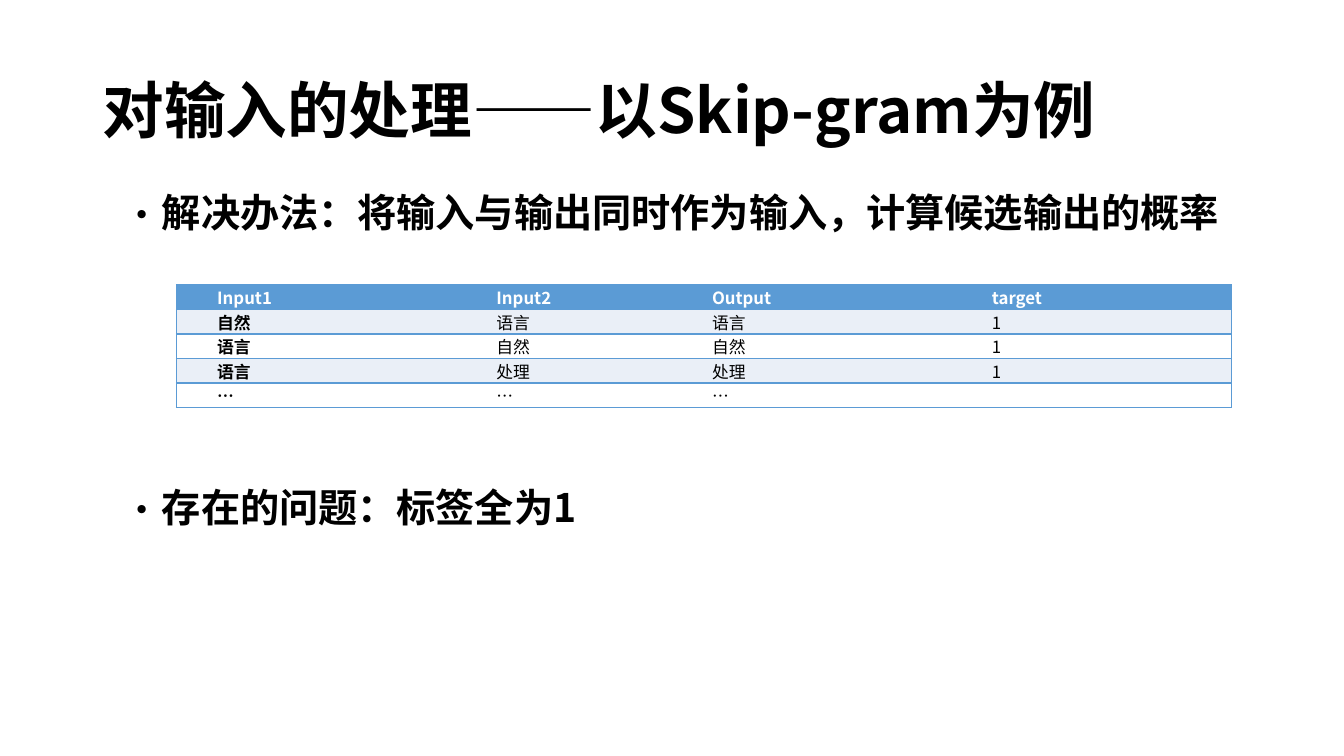
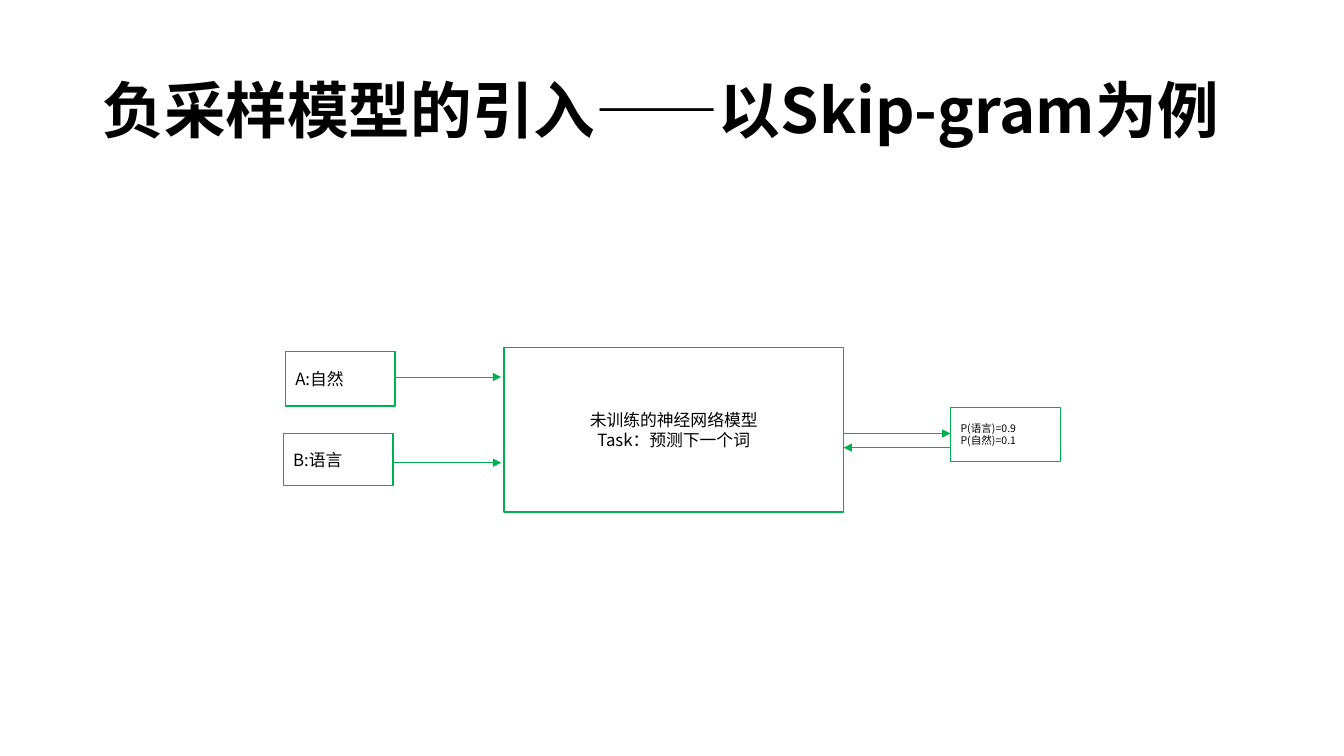
from lxml import etree
from pptx import Presentation
from pptx.dml.color import RGBColor
from pptx.enum import shapes, text
from pptx.oxml.ns import qn
from pptx.util import Pt

COLORS = {"ink": "000000", "white": "FFFFFF", "header": "5B9BD5", "band": "EAEFF7", "green": "00B050"}
FONT = "Noto Sans CJK SC"
TITLE_BOX = (66.24, 28.8, 828, 104.4)


def write(paragraph, words, size, bold=False, color="ink"):
    run = paragraph.add_run()
    run.text = words
    run.font.size = Pt(size)
    run.font.bold = bold
    run.font.color.rgb = RGBColor.from_string(COLORS[color])
    run.font.name = FONT
    etree.SubElement(run.font._element, qn("a:ea"), typeface=FONT)


def add_heading(slide, box, words, size, anchor=text.MSO_ANCHOR.TOP, bullet=False):
    """Add a bold line of text in a wrapping box, with a hanging bullet if asked."""
    frame = slide.shapes.add_textbox(*map(Pt, box)).text_frame
    frame.word_wrap = True
    frame.vertical_anchor = anchor
    paragraph = frame.paragraphs[0]
    if bullet:
        properties = paragraph._p.get_or_add_pPr()
        properties.set("marL", str(Pt(18)))
        properties.set("indent", str(-Pt(18)))
        etree.SubElement(properties, qn("a:buFont"), typeface=FONT)
        etree.SubElement(properties, qn("a:buChar"), char="•")
    paragraph.line_spacing = 0.9
    write(paragraph, words, size, bold=True)


deck = Presentation()
deck.slide_width, deck.slide_height = Pt(960), Pt(540)
titles = ["对输入的处理——以Skip-gram为例", "负采样模型的引入——以Skip-gram为例"]
slides = []
for title in titles:
    slide = deck.slides.add_slide(deck.slide_layouts[6])
    add_heading(slide, TITLE_BOX, title, 44, text.MSO_ANCHOR.MIDDLE)
    slides.append(slide)
input_slide, model_slide = slides

# Input handling: training samples between two points
samples = [
    ["Input1", "Input2", "Output", "target"],
    ["自然", "语言", "语言", "1"],
    ["语言", "自然", "自然", "1"],
    ["语言", "处理", "处理", "1"],
    ["…", "…", "…", ""],
]
column_widths = [199.5, 154, 200, 200]
row_height = 17.5
sample_table = input_slide.shapes.add_table(
    len(samples), len(column_widths), Pt(126), Pt(203.6),
    Pt(sum(column_widths)), Pt(row_height * len(samples))).table
for column, width in zip(sample_table.columns, column_widths):
    column.width = Pt(width)
for r, sample in enumerate(samples):
    sample_table.rows[r].height = Pt(row_height)
    fill = "header" if r == 0 else "band" if r % 2 else "white"
    for c, words in enumerate(sample):
        cell = sample_table.cell(r, c)
        cell.margin_left = cell.margin_right = Pt(5.4)
        cell.margin_top = cell.margin_bottom = 0
        outlined = {"lnL": c == 0, "lnR": c == len(sample) - 1, "lnT": True, "lnB": True}
        for side, shown in outlined.items():
            border = etree.SubElement(cell._tc.get_or_add_tcPr(), qn(f"a:{side}"), w=str(Pt(1)))
            paint = etree.SubElement(border, qn("a:solidFill" if shown else "a:noFill"))
            if shown:
                etree.SubElement(paint, qn("a:srgbClr"), val=COLORS["header"])
        cell.fill.solid()
        cell.fill.fore_color.rgb = RGBColor.from_string(COLORS[fill])
        paragraph = cell.text_frame.paragraphs[0]
        paragraph._p.get_or_add_pPr().set("indent", str(Pt(23.76)))
        if words:
            write(paragraph, words, 12, r == 0 or c == 0, "white" if r == 0 else "ink")
        else:
            etree.SubElement(paragraph._p, qn("a:endParaRPr"), sz="1200")

points = [(134.6, "解决办法：将输入与输出同时作为输入，计算候选输出的概率"), (345.6, "存在的问题：标签全为1")]
for top, words in points:
    add_heading(input_slide, (80.64, top, 828, 69.8), words, 28, bullet=True)

# Model diagram: two words in, probabilities out
left, center = text.PP_ALIGN.LEFT, text.PP_ALIGN.CENTER
nodes = [
    ((360, 248.4, 242.6, 117.4), ["未训练的神经网络模型", "Task：预测下一个词"], 12, center),
    ((679, 290.9, 78.5, 38.9), ["P(语言)=0.9", "P(自然)=0.1"], 7.5, left),
    ((203.8, 251.3, 78.5, 38.9), ["A:自然"], 12, left),
    ((202.3, 309.6, 78.5, 37.4), ["B:语言"], 12, left),
]
for box, lines, size, alignment in nodes:
    node = model_slide.shapes.add_shape(shapes.MSO_SHAPE.RECTANGLE, *map(Pt, box))
    node.shadow.inherit = False
    node.fill.background()
    node.line.color.rgb = RGBColor.from_string(COLORS["green"])
    node.line.width = Pt(1)
    frame = node.text_frame
    frame.word_wrap = True
    frame.vertical_anchor = text.MSO_ANCHOR.MIDDLE
    for i, words in enumerate(lines):
        paragraph = frame.add_paragraph() if i else frame.paragraphs[0]
        paragraph.alignment = alignment
        write(paragraph, words, size)

arrows = [(282.3, 358, 269.3), (280.8, 358, 330.5), (602.6, 679, 309.6), (679, 602.6, 319.7)]
for start, end, y in arrows:
    arrow = model_slide.shapes.add_connector(
        shapes.MSO_CONNECTOR.STRAIGHT, Pt(start), Pt(y), Pt(end), Pt(y))
    arrow.line.color.rgb = RGBColor.from_string(COLORS["green"])
    arrow.line.width = Pt(0.5)
    etree.SubElement(arrow.line._get_or_add_ln(), qn("a:tailEnd"), type="triangle")
    etree.SubElement(arrow._element.spPr, qn("a:effectLst"))

deck.save("out.pptx")
